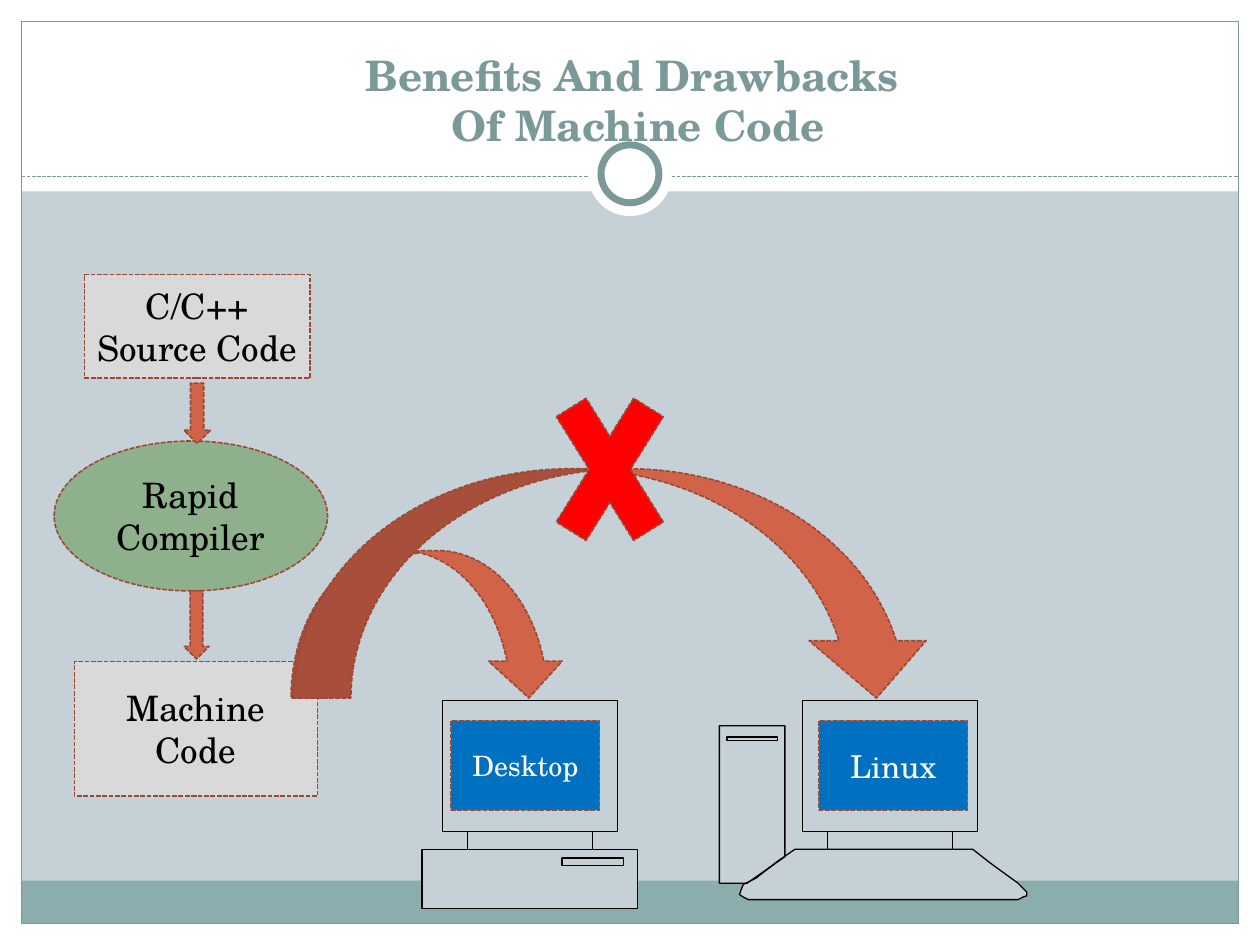
import pptx
import pptx.util
import pptx.dml.color
import pptx.enum.dml
import pptx.enum.shapes
import pptx.enum.text
from lxml import etree

RGB = pptx.dml.color.RGBColor
KIND = pptx.enum.shapes.MSO_SHAPE
DASH = pptx.enum.dml.MSO_LINE.SQUARE_DOT
Inches, Pt = pptx.util.Inches, pptx.util.Pt

PAPER = RGB(0xC5, 0xD1, 0xD7)
WHITE = RGB(0xFF, 0xFF, 0xFF)
BLACK = RGB(0, 0, 0)
TEAL = RGB(0x7C, 0x99, 0x9A)
BAND = RGB(0x8C, 0xAD, 0xAE)
GREY = RGB(0xD9, 0xD9, 0xD9)
GREEN = RGB(0x8F, 0xB0, 0x8C)
RUST = RGB(0xD1, 0x63, 0x49)
BROWN = RGB(0x9B, 0x49, 0x36)
RED = RGB(0xFF, 0, 0)
BLUE = RGB(0, 0x70, 0xC0)

FONT = "TeX Gyre Schola"
WIDE, HIGH, EDGE = 10, 7.5, 0.17
MID, HEAD, RULE = WIDE / 2, 1.52, 1.4

TITLE = "Benefits And Drawbacks \vOf Machine Code"

STEPS = [
    (KIND.RECTANGLE, (0.67, 2.18, 1.79, 0.82), GREY, "C/C++\nSource Code"),
    (KIND.RECTANGLE, (0.59, 5.25, 1.93, 1.07), GREY, "Machine Code"),
    (KIND.OVAL, (0.43, 3.5, 2.17, 1.19), GREEN, "Rapid\nCompiler"),
]
ARROWS = [
    (KIND.DOWN_ARROW, (1.46, 3.04, 0.21, 0.48), RUST, []),
    (KIND.DOWN_ARROW, (1.46, 4.69, 0.2, 0.54), RUST, []),
    (KIND.CURVED_DOWN_ARROW, (2.31, 4.37, 2.18, 1.17), RUST, []),
    (KIND.CURVED_DOWN_ARROW, (2.33, 3.72, 5.09, 1.82), RUST, [0.25, 0.51, 0.25]),
    (KIND.MATH_MULTIPLY, (4.25, 2.78, 1.18, 1.89), RED, []),
]


def box(x, y, w, h):
    return [(x, y), (x + w, y), (x + w, y + h), (x, y + h)]


def monitor(x):
    return [box(x, 5.56, 1.39, 1.04), box(x + 0.2, 6.6, 0.99, 0.14)]


DESKTOP = monitor(3.51) + [box(3.35, 6.74, 1.71, 0.47), box(4.46, 6.81, 0.49, 0.06)]
TOWER = [(5.71, 5.76), (6.23, 5.76), (6.23, 6.8), (5.93, 7.01), (5.71, 7.01)]
KEYS = [
    (6.31, 6.74), (7.72, 6.74), (7.86, 6.85), (8.08, 7.01), (8.12, 7.05),
    (8.15, 7.08), (8.15, 7.11), (8.12, 7.12), (8.08, 7.14), (5.94, 7.14),
    (5.9, 7.12), (5.87, 7.1), (5.88, 7.07), (5.9, 7.02), (6, 6.97), (6.18, 6.83),
]
STATION = [TOWER, KEYS] + monitor(6.37) + [box(5.77, 5.85, 0.4, 0.03)]
HOSTS = [
    (DESKTOP, 3.58, "Desktop", 16),
    (STATION, 6.5, "Linux", 18),
]

deck = pptx.Presentation()
deck.slide_width, deck.slide_height = Inches(WIDE), Inches(HIGH)
slide = deck.slides.add_slide(deck.slide_layouts[5])
slide.background.fill.solid()
slide.background.fill.fore_color.rgb = PAPER
shapes = slide.shapes


def paint(shape, fill, line=None, width=0.9, dash=None):
    shape.shadow.inherit = False
    if fill is None:
        shape.fill.background()
    else:
        shape.fill.solid()
        shape.fill.fore_color.rgb = fill
    if line is None:
        shape.line.fill.background()
    else:
        shape.line.color.rgb = line
        shape.line.width = Pt(width)
        shape.line.dash_style = dash
    return shape


def add(kind, place, *look):
    return paint(shapes.add_shape(kind, *map(Inches, place)), *look)


def write(shape, text, size, color, bold=False):
    frame = shape.text_frame
    frame.text = text
    frame.word_wrap = True
    for para in frame.paragraphs:
        para.alignment = pptx.enum.text.PP_ALIGN.CENTER
        font = para.font
        font.name, font.size, font.bold = FONT, Pt(size), bold
        font.color.rgb = color


def ring(size, *look):
    return add(KIND.OVAL, (MID - size / 2, 1.38 - size / 2, size, size), *look)


def outline(loops):
    path = None
    for loop in loops:
        first, *rest = [(round(x * 100), round(y * 100)) for x, y in loop]
        if path is None:
            path = shapes.build_freeform(*first, scale=Inches(1) / 100)
        else:
            path.move_to(*first)
        path.add_line_segments(rest, close=True)
    return paint(path.convert_to_shape(), PAPER, BLACK, 0.75)


inner = WIDE - 2 * EDGE
for place in [
    (0, HIGH - EDGE, WIDE, EDGE),
    (0, 0, WIDE, HEAD),
    (0, 0, EDGE, HIGH),
    (WIDE - EDGE, 0, EDGE, HIGH),
]:
    add(KIND.RECTANGLE, place, WHITE)
add(KIND.RECTANGLE, (EDGE, 6.99, inner, 0.34), BAND)
add(KIND.RECTANGLE, (EDGE, EDGE, inner, HIGH - 2 * EDGE), None, TEAL, 0.75)
rule = shapes.add_connector(
    pptx.enum.shapes.MSO_CONNECTOR.STRAIGHT,
    *map(Inches, (EDGE, RULE, WIDE - EDGE, RULE)))
rule.line.color.rgb = TEAL
rule.line.width = Pt(0.75)
rule.line.dash_style = DASH
etree.SubElement(rule._element.spPr, pptx.oxml.ns.qn("a:effectLst"))
ring(0.67, WHITE)
ring(0.46, WHITE, TEAL, 4)

title = shapes.title
shapes._spTree.append(title._element)
title.left, title.top, title.width, title.height = map(Inches, (0.98, 0.29, 8.17, 0.95))
write(title, TITLE, 24, TEAL, True)
title.text_frame.vertical_anchor = pptx.enum.text.MSO_ANCHOR.BOTTOM

for kind, place, fill, text in STEPS:
    write(add(kind, place, fill, BROWN, 0.9, DASH), text, 20, BLACK)
for kind, place, fill, bends in ARROWS:
    arrow = add(kind, place, fill, BROWN, 0.9, DASH)
    for spot, bend in enumerate(bends):
        arrow.adjustments[spot] = bend
for loops, left, text, size in HOSTS:
    outline(loops)
    screen = add(KIND.RECTANGLE, (left, 5.72, 1.18, 0.71), BLUE, BROWN, 0.9, DASH)
    write(screen, text, size, WHITE)

deck.save("out.pptx")
